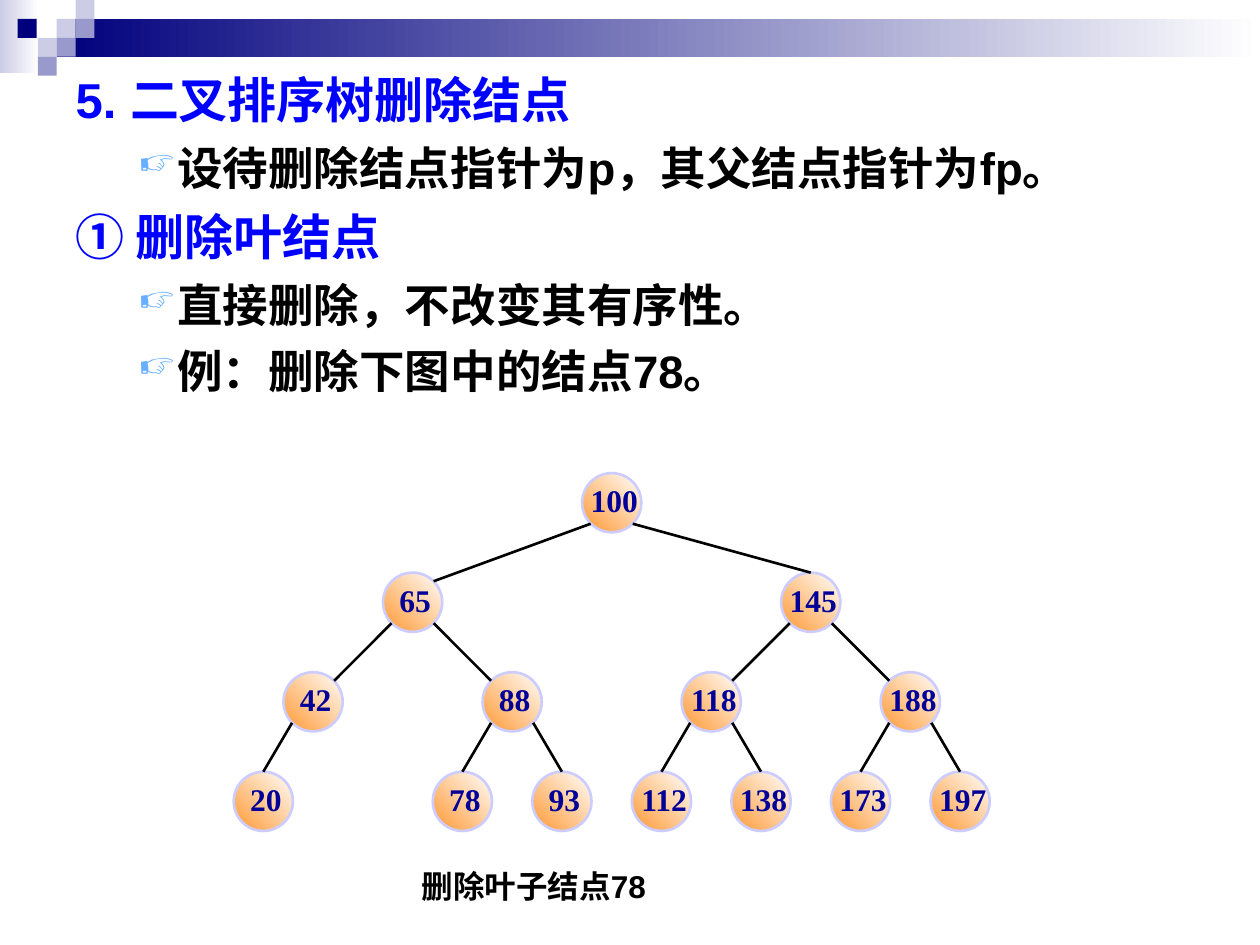
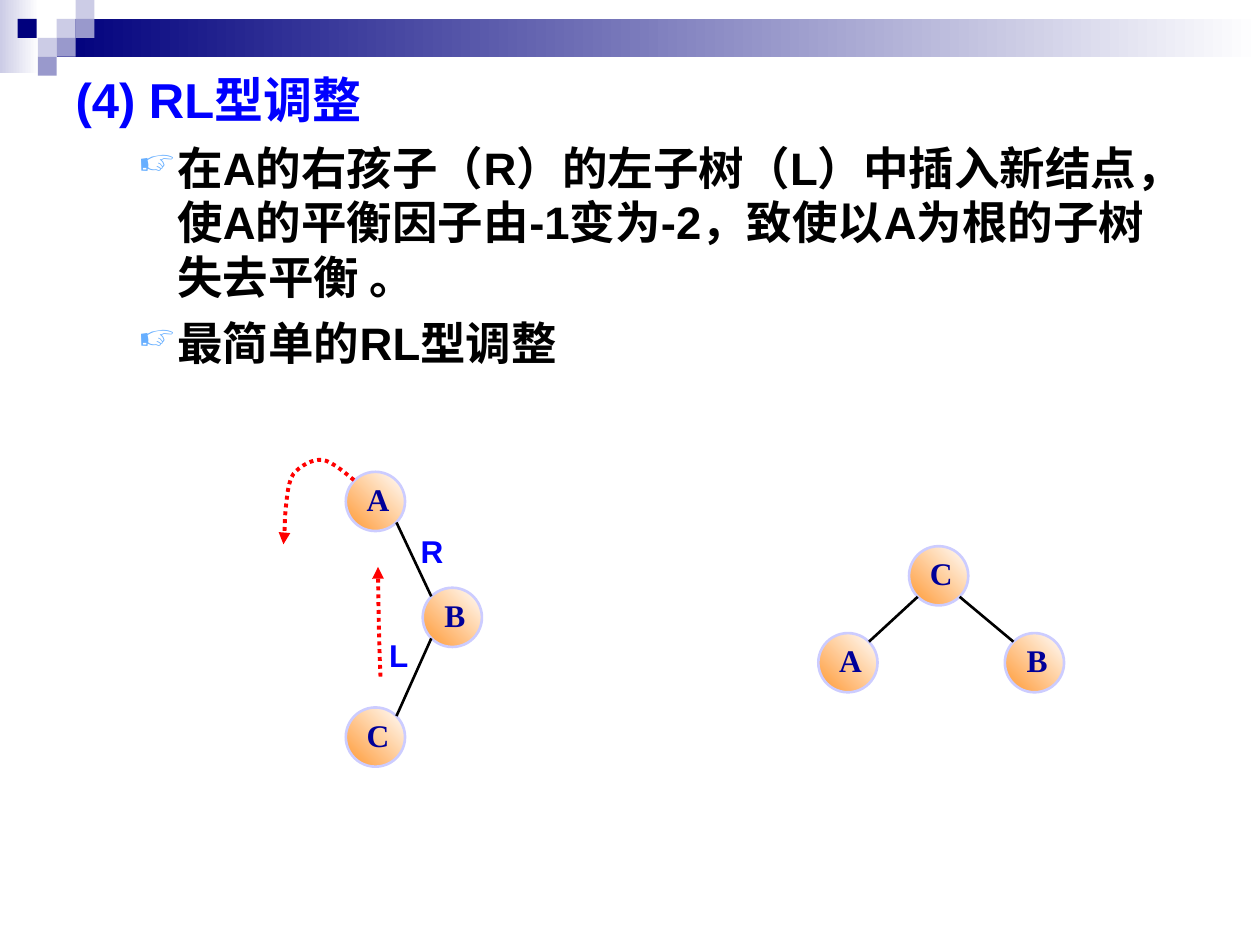
import pptx
import pptx.util
import pptx.dml.color
import pptx.enum.dml
import pptx.enum.shapes
import pptx.enum.text
import pptx.oxml
import pptx.oxml.ns
import pptx.oxml.xmlchemy

Inches = pptx.util.Inches
Pt = pptx.util.Pt
RGBColor = pptx.dml.color.RGBColor
SHAPE = pptx.enum.shapes.MSO_SHAPE
ALIGN = pptx.enum.text.PP_ALIGN
ANCHOR = pptx.enum.text.MSO_ANCHOR
qn = pptx.oxml.ns.qn
OxmlElement = pptx.oxml.xmlchemy.OxmlElement

WHITE = RGBColor(0xFF, 0xFF, 0xFF)
BLACK = RGBColor(0, 0, 0)
NAVY = RGBColor(0, 0, 0x7D)
LILAC = RGBColor(0xCC, 0xCC, 0xE6)
VIOLET = RGBColor(0x99, 0x99, 0xCC)
BLUE = RGBColor(0, 0, 0xFF)
RED = RGBColor(0xFF, 0, 0)
ORANGE = RGBColor(0xFF, 0x99, 0x33)
NODE_EDGE = RGBColor(0xCC, 0xCC, 0xFF)
NODE_TEXT = RGBColor(0, 0, 0x99)
BULLET_COLOR = RGBColor(0x67, 0xAF, 0xFF)

HEADING = {"name": "Arial", "size": Pt(28), "bold": True}
POINT = {"name": "Arial", "size": Pt(26), "bold": True}
LABEL = {"name": "Arial", "size": Pt(18), "bold": True}
NODE = {"name": "Times New Roman", "size": Pt(18), "bold": True}

BANDS = [
    ((0, 0, 0.31, 0.58), LILAC),
    ((0.45, 0.15, 9.55, 0.3), NAVY),
]
SQUARE = 0.15
SQUARES = [
    (0.45, 0.15, LILAC), (0.6, 0, LILAC), (0.6, 0.15, VIOLET), (0.3, 0.3, LILAC),
    (0.14, 0.15, NAVY), (0.45, 0.3, VIOLET), (0.3, 0.45, VIOLET),
]

DELETE_TITLE = "5. 二叉排序树删除结点"
DELETE_BODY = [
    ("point", "设待删除结点指针为p，其父结点指针为fp。"),
    ("heading", "① 删除叶结点"),
    ("point", "直接删除，不改变其有序性。"),
    ("point", "例：删除下图中的结点78。"),
]
DELETE_CAPTION = "删除叶子结点78"
TREE_LEVELS = [
    ["100"],
    ["65", "145"],
    ["42", "88", "118", "188"],
    ["20", None, "78", "93", "112", "138", "173", "197"],
]
TOP_JOINED = ["145"] + TREE_LEVELS[-1]
TREE_LEFT, TREE_TOP, TREE_PITCH = 2.09, 3.99, 0.79

ROTATE_TITLE = "(4) RL型调整"
ROTATE_BODY = [
    ("point", "在A的右孩子（R）的左子树（L）中插入新结点，使A的平衡因子由-1变为-2，致使以A为根的子树失去平衡 。"),
    ("point", "最简单的RL型调整"),
]
BEFORE_NODES = {"A": (2.98, 3.98), "B": (3.59, 4.9), "C": (2.98, 5.85)}
BEFORE_EDGES = [("A", "B"), ("B", "C")]
AFTER_NODES = {"C": (7.45, 4.57), "A": (6.73, 5.26), "B": (8.21, 5.26)}
AFTER_EDGES = [("C", "A"), ("C", "B")]
EDGE_LABELS = [("L", (2.99, 5, 0.35, 0.4)), ("R", (3.24, 4.17, 0.38, 0.4))]
ROTATION_CURVES = [
    [(2.81, 3.81), (2.77, 3.78), (2.64, 3.66), (2.56, 3.65),
     (2.48, 3.64), (2.38, 3.7), (2.33, 3.76),
     (2.29, 3.82), (2.28, 3.92), (2.27, 4.02),
     (2.26, 4.11), (2.26, 4.26), (2.25, 4.32)],
    [(3.02, 5.37), (3.01, 5.19), (3, 4.64), (3, 4.5)],
]

DIAMETER = 0.47
RADIUS = DIAMETER / 2
DIAGONAL = RADIUS * 0.71


def set_values(target, values):
    for name, value in values.items():
        setattr(target, name, value)


def write(paragraph, text, style, color):
    run = paragraph.add_run()
    run.text = text
    set_values(run.font, style)
    run.font.color.rgb = color


def fill_gradient(shape, start, end, angle):
    shape.fill.gradient()
    shape.fill.gradient_angle = angle
    for stop, color in zip(shape.fill.gradient_stops, (start, end)):
        stop.color.rgb = color


def add_plain_shape(slide, kind, box):
    shape = slide.shapes.add_shape(kind, *map(Inches, box))
    shape.shadow.inherit = False
    return shape


def add_decoration(slide):
    for box, color in BANDS:
        band = add_plain_shape(slide, SHAPE.RECTANGLE, box)
        fill_gradient(band, color, WHITE, 0)
        band.line.fill.background()
    for left, top, color in SQUARES:
        square = add_plain_shape(slide, SHAPE.RECTANGLE, (left, top, SQUARE, SQUARE))
        square.fill.solid()
        square.fill.fore_color.rgb = color
        square.line.fill.background()


def add_text(slide, box, text, style, color, wrap):
    textbox = slide.shapes.add_textbox(*map(Inches, box))
    textbox.text_frame.word_wrap = wrap
    write(textbox.text_frame.paragraphs[0], text, style, color)


def add_bullet(paragraph):
    properties = paragraph._p.get_or_add_pPr()
    properties.set("marL", str(Inches(0.81)))
    properties.set("indent", str(Inches(-0.31)))
    namespace = pptx.oxml.ns.nsdecls("a")
    for xml in (
        f'<a:buClr {namespace}><a:srgbClr val="{BULLET_COLOR}"/></a:buClr>',
        f'<a:buSzPct {namespace} val="80000"/>',
        f'<a:buChar {namespace} char="☞"/>',
    ):
        properties.append(pptx.oxml.parse_xml(xml))


def add_slide(presentation, title_text, body):
    slide = presentation.slides.add_slide(presentation.slide_layouts[5])
    add_decoration(slide)
    title = slide.shapes.title
    set_values(title, {"left": Inches(0.5), "top": Inches(0.5),
                       "width": Inches(9), "height": Inches(0.57)})
    set_values(title.text_frame, {"vertical_anchor": ANCHOR.TOP, "word_wrap": True,
                                  "auto_size": pptx.enum.text.MSO_AUTO_SIZE.NONE})
    heading = title.text_frame.paragraphs[0]
    heading.alignment = ALIGN.LEFT
    write(heading, title_text, HEADING, BLUE)

    frame = slide.shapes.add_textbox(*map(Inches, (0.5, 1.06, 9, 2.4))).text_frame
    frame.word_wrap = True
    for index, (kind, text) in enumerate(body):
        paragraph = frame.add_paragraph() if index else frame.paragraphs[0]
        if kind == "point":
            add_bullet(paragraph)
        if index:
            paragraph.space_before = Pt(6.5 if kind == "point" else 7)
        style, color = (POINT, BLACK) if kind == "point" else (HEADING, BLUE)
        write(paragraph, text, style, color)
    return slide


def add_node(slide, label, center):
    x, y = center
    node = add_plain_shape(slide, SHAPE.OVAL, (x - RADIUS, y - RADIUS, DIAMETER, DIAMETER))
    fill_gradient(node, ORANGE, WHITE, 45)
    node.line.color.rgb = NODE_EDGE
    node.line.width = Pt(1.5)
    set_values(node.text_frame, {
        "margin_left": Inches(0.14), "margin_top": Inches(0.01),
        "margin_right": Inches(0.1), "margin_bottom": Inches(0.05),
        "word_wrap": False, "vertical_anchor": ANCHOR.MIDDLE,
    })
    paragraph = node.text_frame.paragraphs[0]
    paragraph.alignment = ALIGN.CENTER
    write(paragraph, label, NODE, NODE_TEXT)


def add_edge(slide, parent, child, joins_top):
    side = DIAGONAL if child[0] > parent[0] else -DIAGONAL
    start = (parent[0] + side, parent[1] + DIAGONAL)
    end = (child[0], child[1] - RADIUS) if joins_top else (child[0] - side, child[1] - DIAGONAL)
    edge = slide.shapes.add_connector(
        pptx.enum.shapes.MSO_CONNECTOR.STRAIGHT, *map(Inches, start + end))
    edge.line.color.rgb = BLACK
    edge.line.width = Pt(1.5)
    edge._element.spPr.append(OxmlElement("a:effectLst"))


def add_tree(slide, nodes, edges, top_joined=()):
    for label, center in nodes.items():
        add_node(slide, label, center)
    for parent, child in edges:
        add_edge(slide, nodes[parent], nodes[child], child in top_joined)


def layout_levels(levels):
    nodes, edges = {}, []
    leaf_count = len(levels[-1])
    for depth, labels in enumerate(levels):
        for slot, label in enumerate(labels):
            if label is None:
                continue
            column = (slot + 0.5) * leaf_count / len(labels) - 0.5
            nodes[label] = (TREE_LEFT + column * TREE_PITCH, TREE_TOP + depth * TREE_PITCH)
            if depth:
                edges.append((levels[depth - 1][slot // 2], label))
    return nodes, edges


def add_curved_arrow(slide, points):
    start, *controls = [(Inches(x), Inches(y)) for x, y in points]
    builder = slide.shapes.build_freeform(*start)
    builder.add_line_segments(controls, close=False)
    arrow = builder.convert_to_shape()
    arrow.shadow.inherit = False
    arrow.fill.background()
    arrow.line.color.rgb = RED
    arrow.line.width = Pt(2.25)
    arrow.line.dash_style = pptx.enum.dml.MSO_LINE.ROUND_DOT
    tail = OxmlElement("a:tailEnd")
    tail.set("type", "triangle")
    arrow._element.spPr.find(qn("a:ln")).append(tail)
    segments = arrow._element.findall(".//" + qn("a:lnTo"))
    for first in range(0, len(segments), 3):
        curve = OxmlElement("a:cubicBezTo")
        segments[first].addprevious(curve)
        for segment in segments[first:first + 3]:
            curve.append(segment[0])
            segment.getparent().remove(segment)


def main():
    presentation = pptx.Presentation()
    presentation.slide_width = Inches(10)
    presentation.slide_height = Inches(7.5)

    delete_slide = add_slide(presentation, DELETE_TITLE, DELETE_BODY)
    add_tree(delete_slide, *layout_levels(TREE_LEVELS), TOP_JOINED)
    add_text(delete_slide, (3.25, 6.83, 2, 0.7), DELETE_CAPTION, LABEL, BLACK, True)

    rotate_slide = add_slide(presentation, ROTATE_TITLE, ROTATE_BODY)
    add_tree(rotate_slide, AFTER_NODES, AFTER_EDGES)
    add_tree(rotate_slide, BEFORE_NODES, BEFORE_EDGES)
    for label, box in EDGE_LABELS:
        add_text(rotate_slide, box, label, LABEL, BLUE, False)
    for points in ROTATION_CURVES:
        add_curved_arrow(rotate_slide, points)

    presentation.save("out.pptx")


if __name__ == "__main__":
    main()
